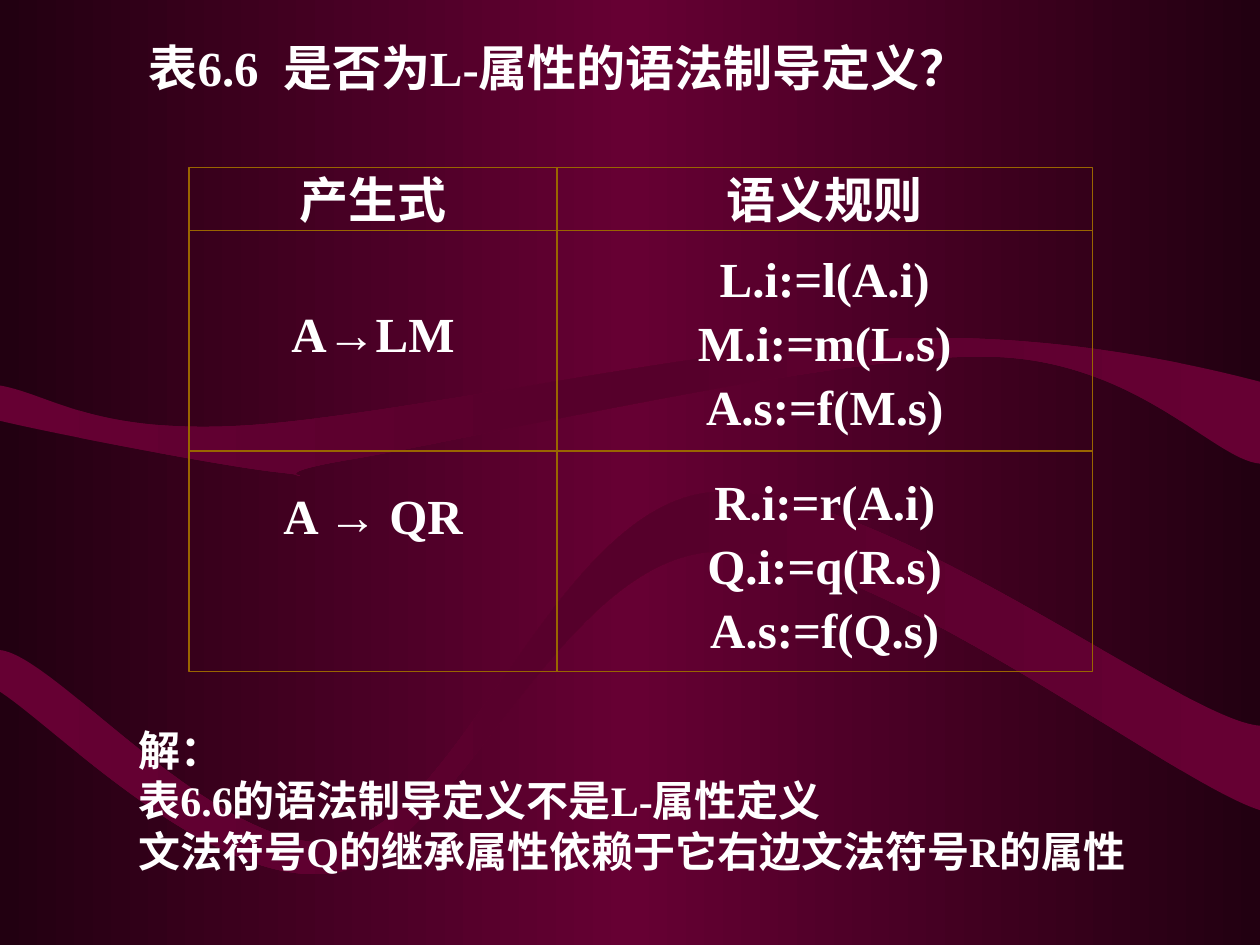
from copy import deepcopy

from lxml import etree
from pptx import Presentation
from pptx import util as u
from pptx.dml.color import RGBColor
from pptx.enum import shapes as s
from pptx.enum import text as t
from pptx.oxml.ns import qn

WHITE = RGBColor(0xFF, 0xFF, 0xFF)
GOLD = RGBColor(0x99, 0x66, 0x00)
DARK = RGBColor(0x22, 0x00, 0x11)
WINE = RGBColor(0x66, 0x00, 0x33)
SHADE = RGBColor(0x56, 0x00, 0x2B)
ARROW = "→"

RIBBONS = [
    (
        [(0, 3.34), (0.37, 3.43), (1.75, 3.7), (2.22, 3.75), (2.69, 3.8),
         (1.9, 3.79), (2.82, 3.64), (3.75, 3.48), (6.6, 2.82), (7.8, 2.83),
         (9, 2.83), (9.63, 3.65), (10, 3.68)],
        [(10, 3.03), (9.5, 2.9), (8.36, 2.63), (7.01, 2.69), (5.66, 2.74),
         (3.07, 3.32), (1.9, 3.38), (0.73, 3.44), (0.4, 3.13), (0, 3.06)],
    ),
    (
        [(0, 5.49), (0.45, 5.78), (1.74, 7.11), (2.69, 6.92), (3.63, 6.74),
         (4.43, 4.46), (5.65, 4.38), (6.87, 4.29), (9.27, 6.2), (10, 6.43)],
        [(10, 5.76), (9.38, 5.72), (6.91, 3.77), (5.62, 3.91), (4.41, 4.06),
         (3.67, 6.46), (2.73, 6.67), (1.79, 6.87), (0.45, 5.2), (0, 5.16)],
    ),
]

LEFT, MIDDLE, RIGHT = 1.5, 4.42, 8.67
TOP, HEADER_BOTTOM, DIVIDER, BOTTOM = 1.33, 1.83, 3.58, 5.33


def write_text(frame, lines, size=28, align=t.PP_ALIGN.LEFT, spacing=None, gaps=None):
    """Fill a text frame with bold white lines, setting arrows in Arial."""
    for index, line in enumerate(lines):
        paragraph = frame.paragraphs[0] if index == 0 else frame.add_paragraph()
        paragraph.alignment = align
        paragraph.line_spacing = spacing
        paragraph.space_before = u.Pt((gaps or {}).get(index, 0))
        before, arrow, after = line.partition(ARROW)
        for part in filter(None, (before, arrow, after)):
            run = paragraph.add_run()
            run.text = part
            run.font.name = "Arial" if part == ARROW else "Times New Roman"
            run.font.size = u.Pt(size)
            run.font.bold = True
            run.font.color.rgb = WHITE


def fill_gradient(fill, element, edge, middle):
    """Apply a horizontal gradient that mirrors around its middle colour."""
    fill.gradient()
    fill.gradient_angle = 0
    stop_list = element.find(".//" + qn("a:gsLst"))
    stop_list.append(deepcopy(stop_list[-1]))
    for stop, position, color in zip(
        fill.gradient_stops, (0, 0.5, 1), (edge, middle, edge)
    ):
        stop.position = position
        stop.color.rgb = color


def bend_lines(lines):
    """Turn each three line segments into one cubic Bezier segment."""
    for first in range(0, len(lines), 3):
        curve = etree.Element(qn("a:cubicBezTo"))
        lines[first].addprevious(curve)
        for line in lines[first:first + 3]:
            curve.append(line[0])
            line.getparent().remove(line)


def add_ribbon(slide, lower, upper):
    """Add a gradient ribbon between two curved edges."""
    outline = [(round(x * 100), round(y * 100)) for x, y in lower + upper]
    builder = slide.shapes.build_freeform(*outline[0], scale=u.Inches(0.01))
    builder.add_line_segments(outline[1:], close=True)
    shape = builder.convert_to_shape()
    lines = list(shape._element.iter(qn("a:lnTo")))
    joint = len(lower) - 1
    bend_lines(lines[:joint])
    bend_lines(lines[joint + 1:joint + len(upper)])
    shape.shadow.inherit = False
    shape.line.fill.background()
    fill_gradient(shape.fill, shape._element, WINE, SHADE)


def add_title(slide, title):
    """Place and fill the title placeholder."""
    shape = slide.shapes.title
    shape.left, shape.top = u.Inches(1.08), u.Inches(0.25)
    shape.width, shape.height = u.Inches(8.08), u.Inches(0.57)
    shape.text_frame.word_wrap = True
    shape.text_frame.vertical_anchor = t.MSO_ANCHOR.TOP
    write_text(shape.text_frame, [title])


def add_note(slide, lines):
    """Add the answer below the grid."""
    box = slide.shapes.add_textbox(
        u.Inches(1), u.Inches(5.7), u.Inches(8.5), u.Inches(1.3)
    )
    box.text_frame.word_wrap = True
    write_text(box.text_frame, lines, size=24)


def add_cell(slide, left, top, right, bottom, lines, inset=0.05, **formats):
    """Add an outlined box with centred lines."""
    shape = slide.shapes.add_shape(
        s.MSO_SHAPE.RECTANGLE, u.Inches(left), u.Inches(top),
        u.Inches(right - left), u.Inches(bottom - top),
    )
    shape.shadow.inherit = False
    shape.fill.background()
    shape.line.color.rgb = GOLD
    shape.line.width = u.Pt(0.75)
    frame = shape.text_frame
    frame.word_wrap = False
    frame.vertical_anchor = t.MSO_ANCHOR.MIDDLE
    frame.margin_bottom = u.Inches(inset)
    write_text(frame, lines, align=t.PP_ALIGN.CENTER, **formats)


def add_divider(slide):
    """Add the line between the two productions."""
    line = slide.shapes.add_connector(
        s.MSO_CONNECTOR.STRAIGHT, u.Inches(LEFT), u.Inches(DIVIDER),
        u.Inches(RIGHT), u.Inches(DIVIDER),
    )
    line.line.color.rgb = GOLD
    line.line.width = u.Pt(0.75)
    etree.SubElement(line._element.spPr, qn("a:effectLst"))


def main():
    """Build and save the slide."""
    presentation = Presentation()
    presentation.slide_width = u.Inches(10)
    presentation.slide_height = u.Inches(7.5)
    slide = presentation.slides.add_slide(presentation.slide_layouts[5])
    fill_gradient(slide.background.fill, slide._element, DARK, WINE)
    for lower, upper in RIBBONS:
        add_ribbon(slide, lower, upper)
    add_title(slide, "表6.6  是否为L-属性的语法制导定义？")
    add_cell(slide, LEFT, TOP, MIDDLE, HEADER_BOTTOM, ["产生式"])
    add_cell(slide, MIDDLE, TOP, RIGHT, HEADER_BOTTOM, ["语义规则"])
    add_cell(
        slide, LEFT, HEADER_BOTTOM, MIDDLE, BOTTOM, ["A→LM", "A → QR"],
        inset=0.52, spacing=1.09, gaps={1: 67},
    )
    add_cell(
        slide, MIDDLE, HEADER_BOTTOM, RIGHT, BOTTOM,
        ["L.i:=l(A.i)", "M.i:=m(L.s)", "A.s:=f(M.s)",
         "R.i:=r(A.i)", "Q.i:=q(R.s)", "A.s:=f(Q.s)"],
        spacing=1.09, gaps={3: 17.5},
    )
    add_note(slide, [
        "解：",
        "表6.6的语法制导定义不是L-属性定义",
        "文法符号Q的继承属性依赖于它右边文法符号R的属性",
    ])
    add_divider(slide)
    presentation.save("out.pptx")


if __name__ == "__main__":
    main()
